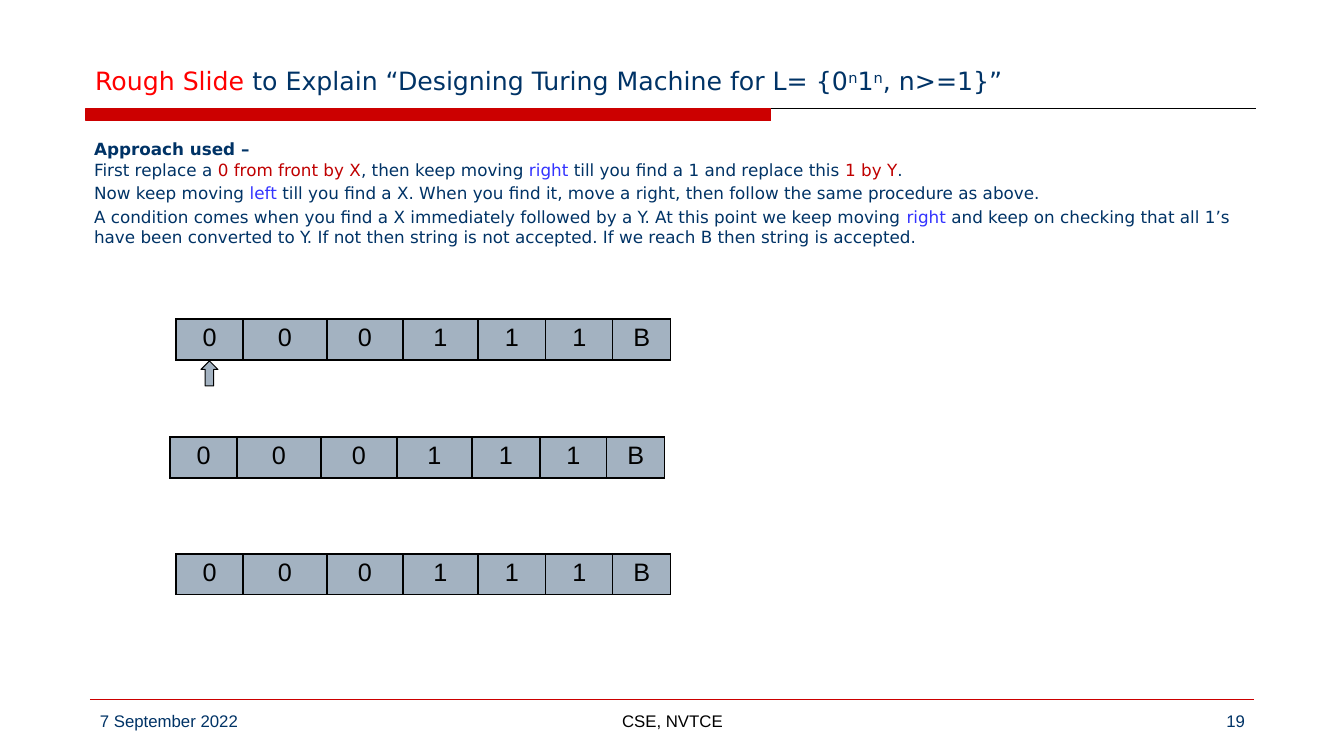
"""Builds the slide that explains a Turing machine for 0^n 1^n."""
import pptx
import pptx.util
import pptx.dml.color
import pptx.enum.shapes
import pptx.enum.text
import pptx.oxml
import pptx.oxml.ns

RGBColor = pptx.dml.color.RGBColor
PP_ALIGN = pptx.enum.text.PP_ALIGN
MSO_SHAPE = pptx.enum.shapes.MSO_SHAPE

NAVY = RGBColor(0x00, 0x33, 0x66)
RED = RGBColor(0xFF, 0x00, 0x00)
BAR_RED = RGBColor(0xCC, 0x00, 0x00)
DARK_RED = RGBColor(0xC0, 0x00, 0x00)
BLUE = RGBColor(0x33, 0x33, 0xFF)
GREY = RGBColor(0xA3, 0xB2, 0xC1)
BLACK = RGBColor(0x00, 0x00, 0x00)

SANS = "DejaVu Sans"
ARIAL = "Arial"
EMU_PER_PX = 914400 / 100.8

TAPE = "000111B"
TAPE_WIDTHS = [67, 84, 76, 75, 68, 67, 58]
TAPES = [(176, 319, 41), (170, 437, 41), (176, 554, 37)]

TITLE = [("Rough Slide", RED, 0),
         (" to Explain “Designing Turing Machine for L= {0", NAVY, 0),
         ("n", NAVY, 30), ("1", NAVY, 0), ("n", NAVY, 30),
         (", n>=1}”", NAVY, 0)]
APPROACH = [
    [("First replace a ", NAVY), ("0 from front by X", DARK_RED),
     (", then keep moving ", NAVY), ("right", BLUE),
     (" till you find a 1 and replace this ", NAVY),
     ("1 by Y", DARK_RED), (".", NAVY)],
    [("Now keep moving ", NAVY), ("left", BLUE),
     (" till you find a X. When you find it, move a right, then follow "
      "the same procedure as above.", NAVY)],
    [("A condition comes when you find a X immediately followed by a Y. "
      "At this point we keep moving ", NAVY), ("right ", BLUE),
     ("and keep on checking that all 1’s have been converted to Y. If not "
      "then string is not accepted. If we reach B then string is accepted.",
      NAVY)],
]
FOOTERS = [("7 September 2022", 90, 291, PP_ALIGN.LEFT, NAVY),
           ("CSE, NVTCE", 460, 425, PP_ALIGN.CENTER, BLACK),
           ("19", 964, 291, PP_ALIGN.RIGHT, NAVY)]


def px(n):
    """Turn pixels into EMU."""
    return pptx.util.Emu(round(n * EMU_PER_PX))


def box(*lengths):
    """Turn several pixel lengths into EMU."""
    return [px(n) for n in lengths]


def add_run(p, text, size, font, color, bold=False):
    """Add one formatted run to a paragraph."""
    r = p.add_run()
    r.text = text
    r.font.size = pptx.util.Pt(size)
    r.font.name = font
    r.font.bold = bold
    r.font.color.rgb = color
    return r


def place(sp, left, top, width, height, anchor):
    """Move a placeholder and return its text frame."""
    sp.left, sp.top, sp.width, sp.height = box(left, top, width, height)
    tf = sp.text_frame
    tf.word_wrap = True
    tf.auto_size = pptx.enum.text.MSO_AUTO_SIZE.NONE
    tf.vertical_anchor = anchor
    return tf


def fill_title(s):
    """Write the title with its raised exponents."""
    tf = place(s.shapes.title, 85, 17, 1176, 84,
               pptx.enum.text.MSO_ANCHOR.BOTTOM)
    p = tf.paragraphs[0]
    p.alignment = PP_ALIGN.LEFT
    for text, color, raised in TITLE:
        r = add_run(p, text, 18, SANS, color)
        if raised:
            r.font._element.set("baseline", str(raised * 1000))


def fill_body(s):
    """Write the approach as unbulleted paragraphs."""
    tf = place(s.placeholders[1], 84, 134, 1176, 554,
               pptx.enum.text.MSO_ANCHOR.TOP)
    for i, runs in enumerate(APPROACH):
        p = tf.add_paragraph() if i else tf.paragraphs[0]
        p.space_before = pptx.util.Pt(2.4 if i else 0)
        pPr = p._p.get_or_add_pPr()
        pPr.set("marL", "0")
        pPr.set("indent", "0")
        pPr.append(pptx.oxml.parse_xml(
            f'<a:buNone {pptx.oxml.ns.nsdecls("a")}/>'))
        if i == 0:
            add_run(p, "Approach used –", 12, SANS, NAVY, True)
            p.add_line_break()
        for text, color in runs:
            add_run(p, text, 12, SANS, color)


def add_filled(s, kind, bounds, fill, line):
    """Add a preset shape with a thin outline."""
    sp = s.shapes.add_shape(kind, *box(*bounds))
    sp.shadow.inherit = False
    sp.fill.solid()
    sp.fill.fore_color.rgb = fill
    sp.line.color.rgb = line
    sp.line.width = pptx.util.Pt(0.75)


def add_rule(s, left, right, y, color):
    """Add a thin horizontal line."""
    line = s.shapes.add_connector(pptx.enum.shapes.MSO_CONNECTOR.STRAIGHT,
                                  *box(left, y, right, y))
    line.line.color.rgb = color
    line.line.width = pptx.util.Pt(0.75)
    line._element.spPr.append(pptx.oxml.parse_xml(
        f'<a:effectLst {pptx.oxml.ns.nsdecls("a")}/>'))


def add_footer(s, text, left, width, align, color):
    """Add one footer text."""
    tf = s.shapes.add_textbox(*box(left, 706, width, 35)).text_frame
    tf.word_wrap = True
    p = tf.paragraphs[0]
    p.alignment = align
    add_run(p, text, 12, ARIAL, color)


def add_borders(cell):
    """Draw black borders on all sides of a cell."""
    for side in ("lnL", "lnR", "lnT", "lnB"):
        cell._tc.get_or_add_tcPr().append(pptx.oxml.parse_xml(
            f'<a:{side} {pptx.oxml.ns.nsdecls("a")} w="12700"><a:solidFill>'
            f'<a:srgbClr val="{BLACK}"/></a:solidFill></a:{side}>'))


def add_tape(s, left, top, height):
    """Add one tape as a single-row table."""
    table = s.shapes.add_table(
        1, len(TAPE), *box(left, top, sum(TAPE_WIDTHS), height)).table
    table.first_row = False
    table.horz_banding = False
    for i, (symbol, width) in enumerate(zip(TAPE, TAPE_WIDTHS)):
        table.columns[i].width = px(width)
        cell = table.cell(0, i)
        add_borders(cell)
        cell.fill.solid()
        cell.fill.fore_color.rgb = GREY
        p = cell.text_frame.paragraphs[0]
        p.alignment = PP_ALIGN.CENTER
        add_run(p, symbol, 18, ARIAL, BLACK)


def main():
    """Build and save the slide."""
    prs = pptx.Presentation()
    prs.slide_width, prs.slide_height = box(1344, 756)
    s = prs.slides.add_slide(prs.slide_layouts[1])
    add_filled(s, MSO_SHAPE.RECTANGLE, (86, 109, 685, 12), BAR_RED, BAR_RED)
    add_rule(s, 771, 1256, 109, BLACK)
    add_rule(s, 90, 1254, 700, BAR_RED)
    fill_title(s)
    fill_body(s)
    for footer in FOOTERS:
        add_footer(s, *footer)
    for tape in TAPES:
        add_tape(s, *tape)
    add_filled(s, MSO_SHAPE.UP_ARROW, (201, 361, 17, 25), GREY, BLACK)
    prs.save("out.pptx")


if __name__ == "__main__":
    main()
